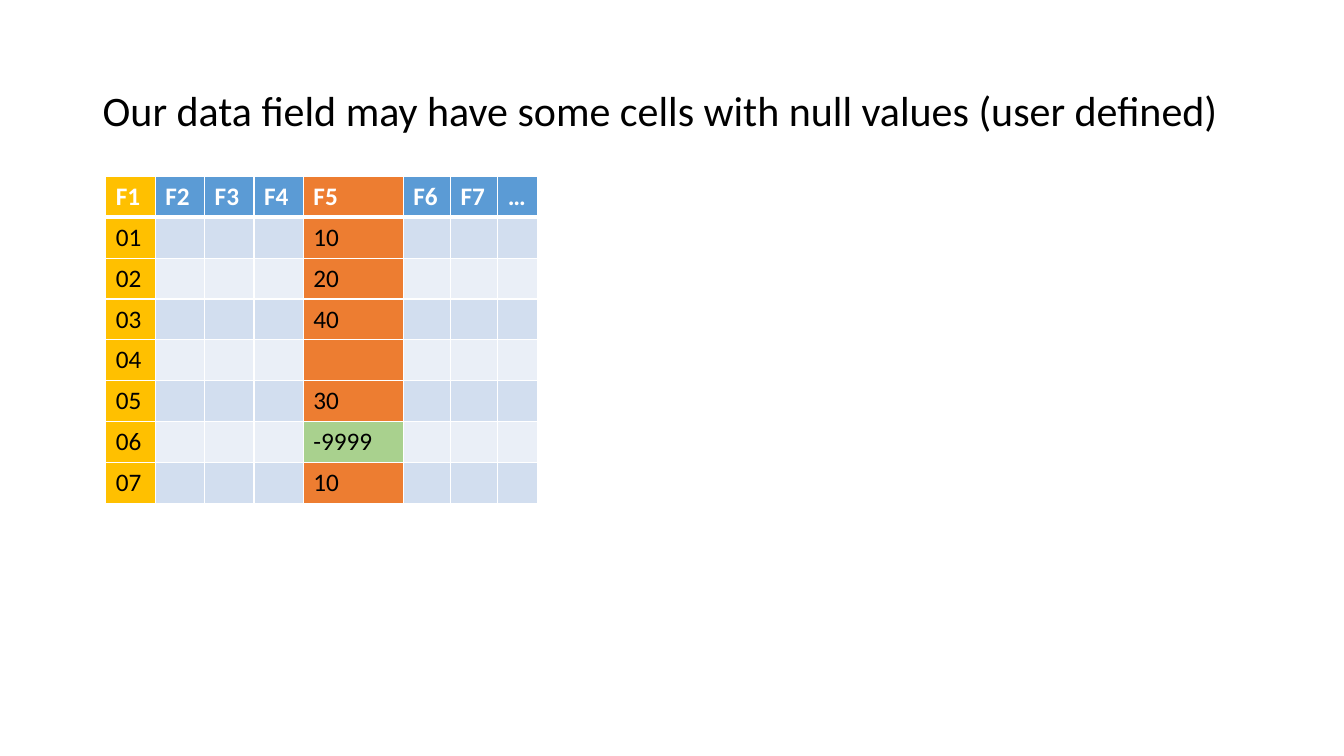
"""Build a slide showing a data table whose field F5 holds null values."""
import dataclasses

import lxml.etree
import pptx
import pptx.dml.color
import pptx.enum.text
import pptx.oxml.ns
import pptx.util


@dataclasses.dataclass(frozen=True)
class Theme:
    font: str = "Calibri"
    title_size: int = 30
    table_size: int = 18
    ink: str = "000000"
    white: str = "FFFFFF"
    header: str = "5B9BD5"
    bands: tuple = ("EAEFF7", "D2DEEF")
    key: str = "FFC000"
    field: str = "ED7D31"
    null: str = "A9D18E"
    thin: int = 1
    thick: int = 3


theme = Theme()


def style_text(para, size, color, bold=False):
    for span in para.runs:
        span.font.name = theme.font
        span.font.size = pptx.util.Pt(size)
        span.font.bold = bold
        span.font.color.rgb = pptx.dml.color.RGBColor.from_string(color)


def add_border(cell, side, width):
    properties = cell._tc.get_or_add_tcPr()
    line = lxml.etree.SubElement(properties, pptx.oxml.ns.qn(f"a:ln{side}"), w=str(pptx.util.Pt(width)))
    fill = lxml.etree.SubElement(line, pptx.oxml.ns.qn("a:solidFill"))
    lxml.etree.SubElement(fill, pptx.oxml.ns.qn("a:srgbClr"), val=theme.white)


deck = pptx.Presentation()
deck.slide_width = pptx.util.Inches(13.33)
deck.slide_height = pptx.util.Inches(7.5)
page = deck.slides.add_slide(deck.slide_layouts[6])

headings = ["F1", "F2", "F3", "F4", "F5", "F6", "F7", "…"]
column_widths = [0.49, 0.49, 0.49, 0.49, 0.99, 0.47, 0.47, 0.39]
field_values = ["10", "20", "40", "", "30", "-9999", "10"]
null_value = "-9999"
row_height = 0.4
key_column, field_column = headings.index("F1"), headings.index("F5")

records = [headings]
for number, value in enumerate(field_values, start=1):
    record = [""] * len(headings)
    record[key_column] = f"{number:02}"
    record[field_column] = value
    records.append(record)

frame = page.shapes.add_table(
    len(records), len(headings),
    pptx.util.Inches(1.05), pptx.util.Inches(1.75),
    pptx.util.Inches(sum(column_widths)), pptx.util.Inches(row_height * len(records)),
)
table = frame.table
for column, width in zip(table.columns, column_widths):
    column.width = pptx.util.Inches(width)

for row, record in enumerate(records):
    table.rows[row].height = pptx.util.Inches(row_height)
    is_header = row == 0
    for column, text in enumerate(record):
        cell = table.cell(row, column)
        if text == null_value:
            color = theme.null
        elif column == key_column:
            color = theme.key
        elif column == field_column:
            color = theme.field
        else:
            color = theme.header if is_header else theme.bands[row % 2]
        for side in "LRTB":
            under_header = (row, side) in ((0, "B"), (1, "T"))
            add_border(cell, side, theme.thick if under_header else theme.thin)
        cell.fill.solid()
        cell.fill.fore_color.rgb = pptx.dml.color.RGBColor.from_string(color)
        para = cell.text_frame.paragraphs[0]
        para.font.size = pptx.util.Pt(theme.table_size)
        if text:
            para.text = text
            style_text(para, theme.table_size, theme.white if is_header else theme.ink, is_header)

title = page.shapes.add_textbox(
    pptx.util.Inches(0.92), pptx.util.Inches(0.4), pptx.util.Inches(12.11), pptx.util.Inches(1.45)
)
title.text_frame.word_wrap = True
title.text_frame.vertical_anchor = pptx.enum.text.MSO_ANCHOR.MIDDLE
para = title.text_frame.paragraphs[0]
para.text = "Our data field may have some cells with null values (user defined)"
para.line_spacing = 0.9
style_text(para, theme.title_size, theme.ink)

deck.save("out.pptx")
